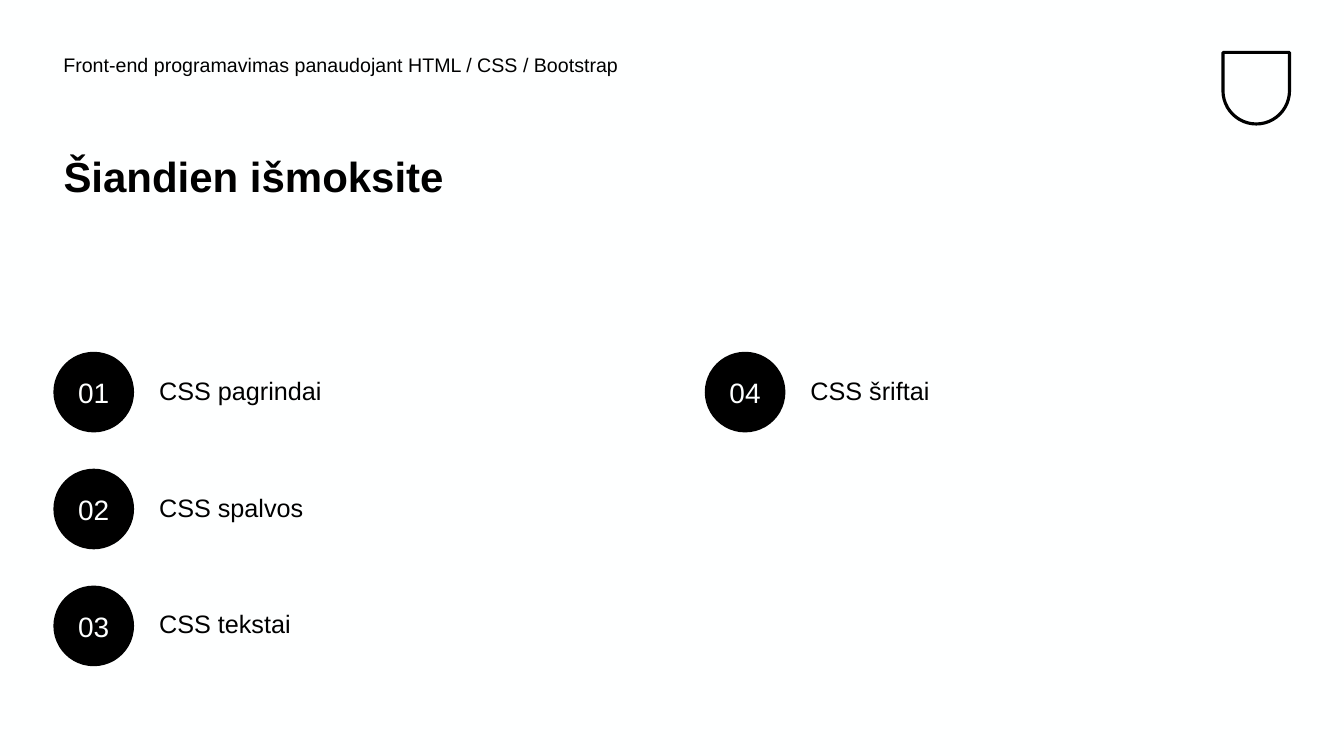
from pptx import Presentation, util as u
from pptx.dml.color import RGBColor
from pptx.enum import shapes, text

BLACK = RGBColor(0x00, 0x00, 0x00)
WHITE = RGBColor(0xFE, 0xFF, 0xFF)

# Grid of numbered topics, in inches
LEFT, TOP = 0.53, 3.49
COL_STEP, ROW_STEP = 6.46, 1.16
ROWS = 3
CIRCLE = 0.8
TOPICS = ["CSS pagrindai", "CSS spalvos", "CSS tekstai", "CSS šriftai"]

prs = Presentation()
prs.slide_width, prs.slide_height = u.Inches(13.33), u.Inches(7.5)
s = prs.slides.add_slide(prs.slide_layouts[5])
s.background.fill.solid()
s.background.fill.fore_color.rgb = WHITE


def box(left, top, width, height):
    return [u.Inches(v) for v in (left, top, width, height)]


def write(sp, words, size, color=BLACK, bold=False, spacing=1.0,
          align=text.PP_ALIGN.LEFT, anchor=text.MSO_ANCHOR.TOP):
    tf = sp.text_frame
    tf.word_wrap = True
    tf.auto_size = text.MSO_AUTO_SIZE.NONE
    tf.vertical_anchor = anchor
    tf.text = words
    p = tf.paragraphs[0]
    p.alignment, p.line_spacing = align, spacing
    p.font.name, p.font.size, p.font.bold = "Arial", u.Pt(size), bold
    p.font.color.rgb = color


# Plain shield in the corner
shield = s.shapes.add_shape(shapes.MSO_SHAPE.ROUND_2_SAME_RECTANGLE,
                            *box(12.13, 0.52, 0.66, 0.71))
shield.adjustments[0], shield.adjustments[1] = 0, 0.5
shield.shadow.inherit = False
shield.fill.background()
shield.line.color.rgb = BLACK
shield.line.width = u.Pt(2.25)

# Course name and title
course = s.shapes.add_textbox(*box(LEFT, 0.5, 7.42, 0.5))
write(course, "Front-end programavimas panaudojant HTML / CSS / Bootstrap", 14, spacing=0.9)

title = s.shapes.title
title.left, title.top, title.width, title.height = box(LEFT, 1.5, 5.64, 1.49)
write(title, "Šiandien išmoksite", 30, bold=True, spacing=0.9)

# Topics, filled column by column
for i, topic in enumerate(TOPICS):
    col, row = divmod(i, ROWS)
    x, y = LEFT + col * COL_STEP, TOP + row * ROW_STEP

    label = s.shapes.add_textbox(*box(x + 0.95, y + 0.18, 4.63, 0.45))
    write(label, topic, 18)

    circle = s.shapes.add_shape(shapes.MSO_SHAPE.OVAL, *box(x, y, CIRCLE, CIRCLE))
    circle.shadow.inherit = False
    circle.fill.solid()
    circle.fill.fore_color.rgb = BLACK
    circle.line.fill.background()
    write(circle, f"{i + 1:02d}", 20, WHITE,
          align=text.PP_ALIGN.CENTER, anchor=text.MSO_ANCHOR.MIDDLE)

prs.save("out.pptx")
